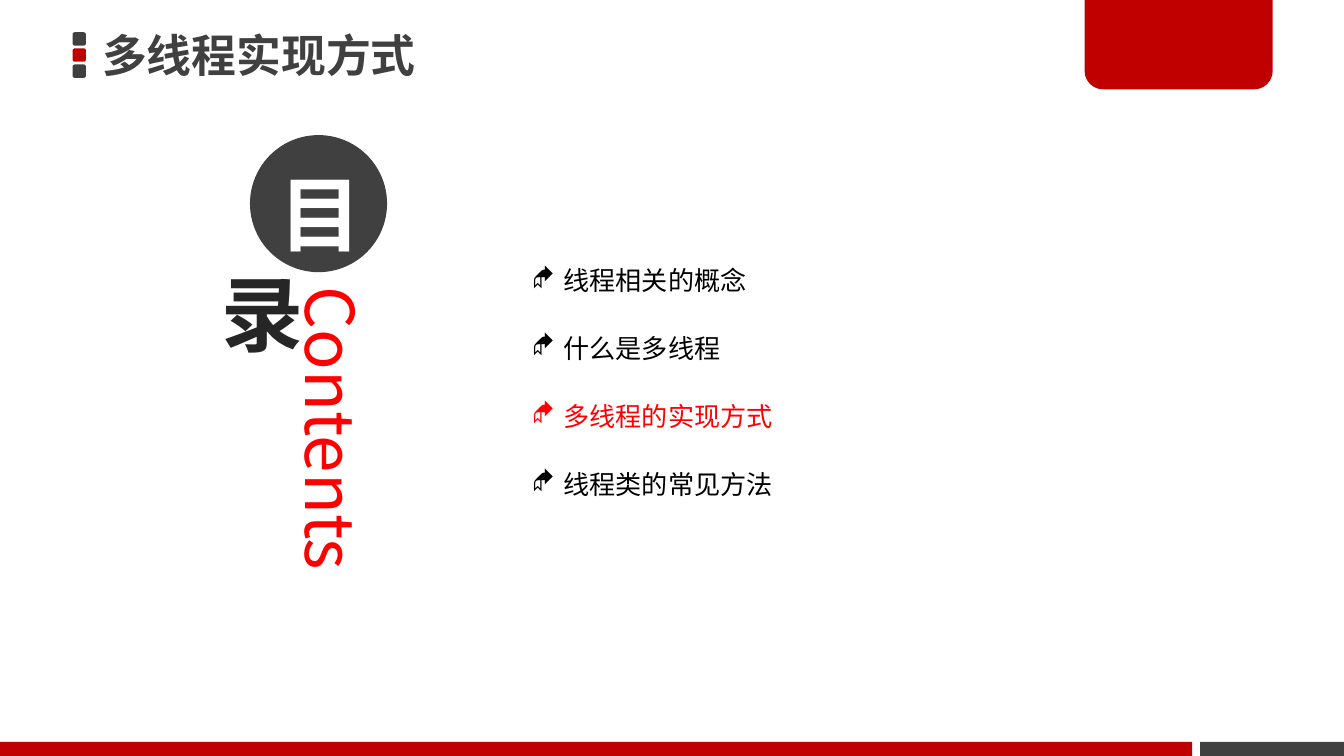
from dataclasses import dataclass

from lxml import etree
from pptx import Presentation
from pptx.dml import color
from pptx.enum import shapes, text
from pptx.oxml import ns
from pptx.util import Inches, Pt

COLUMNS, ROWS = 100, 56.25
CELL = Inches(0.1)
RED, BRIGHT, GREY, INK, WHITE, BLACK = (
    "C00000", "FF0000", "404040", "262626", "FFFFFF", "000000")
SANS, TITLE_FONT, BULLET_FONT = "Noto Sans CJK SC", "Noto Sans CJK JP", "Wingdings"
KIND = shapes.MSO_SHAPE
TIGHT = (0.7, 0.4, 0.7, 0.4)


@dataclass(frozen=True)
class Area:
    column: float
    row: float
    columns: float
    rows: float

    def lengths(self) -> list[int]:
        return [round(n * CELL) for n in (self.column, self.row, self.columns, self.rows)]


@dataclass(frozen=True)
class Topic:
    title: str
    tint: str = BLACK


@dataclass(frozen=True)
class Block:
    area: Area
    tint: str
    kind: KIND = KIND.RECTANGLE
    corners: tuple[float, ...] = ()


def rgb(value: str) -> color.RGBColor:
    return color.RGBColor.from_string(value)


def draw_block(page, block: Block):
    box = page.shapes.add_shape(block.kind, *block.area.lengths())
    box.shadow.inherit = False
    box.fill.solid()
    box.fill.fore_color.rgb = rgb(block.tint)
    box.line.fill.background()
    for index, corner in enumerate(block.corners):
        box.adjustments[index] = corner
    return box


def add_text_box(page, area: Area):
    return page.shapes.add_textbox(*area.lengths())


def set_frame(box, insets=TIGHT, anchor=text.MSO_ANCHOR.TOP):
    frame = box.text_frame
    frame.word_wrap = True
    frame.vertical_anchor = anchor
    frame.margin_left, frame.margin_top, frame.margin_right, frame.margin_bottom = (
        round(n * CELL) for n in insets)
    return frame


def write(para, words: str, *, size: float, tint: str, font: str = SANS,
          bold: bool = False, align=text.PP_ALIGN.LEFT, leading=None):
    para.alignment = align
    if leading:
        para.line_spacing = leading
    span = para.add_run()
    span.text = words
    span.font.size = Pt(size)
    span.font.bold = bold
    span.font.name = font
    span.font.color.rgb = rgb(tint)
    etree.SubElement(span.font._element, ns.qn("a:ea"), typeface=font)


def add_bullet(para, tint: str, indent: int):
    settings = para._p.get_or_add_pPr()
    settings.set("marL", str(indent))
    settings.set("indent", str(-indent))
    bullet_color = etree.SubElement(settings, ns.qn("a:buClr"))
    etree.SubElement(bullet_color, ns.qn("a:srgbClr"), val=tint)
    etree.SubElement(settings, ns.qn("a:buFont"), typeface=BULLET_FONT)
    etree.SubElement(settings, ns.qn("a:buChar"), char="◆")


def draw_theme(page):
    for index, tint in enumerate((GREY, RED, GREY)):
        draw_block(page, Block(Area(5.4, 2.4 + 1.2 * index, 1, 1), tint,
                               KIND.ROUNDED_RECTANGLE, (0.17,)))
    for block in (
        Block(Area(89.3, ROWS - 1.05, COLUMNS - 89.3, 1.05), GREY),
        Block(Area(0, ROWS - 1.05, 88.7, 1.05), RED),
        Block(Area(80.7, -0.2, 14, 6.85), RED, KIND.ROUND_2_SAME_RECTANGLE, (0, 0.2)),
    ):
        draw_block(page, block)


def draw_heading(page):
    frame = set_frame(add_text_box(page, Area(6.9, 1.95, 71.9, 4.2)),
                      anchor=text.MSO_ANCHOR.MIDDLE)
    write(frame.paragraphs[0], "多线程实现方式", size=24, tint=GREY,
          font=TITLE_FONT, bold=True)


def draw_contents_sign(page):
    frame = set_frame(add_text_box(page, Area(21.4, 20.95, 7, 28.9)))
    frame._txBody.bodyPr.set("vert", "eaVert")
    write(frame.paragraphs[0], "Contents", size=36, tint=BRIGHT)

    disc = draw_block(page, Block(Area(18.6, 10.05, 10.2, 10.2), GREY, KIND.OVAL))
    frame = set_frame(disc, (0.7, 0.4, 0.7, 1.5), text.MSO_ANCHOR.MIDDLE)
    write(frame.paragraphs[0], "目", size=44, tint=WHITE, bold=True,
          align=text.PP_ALIGN.CENTER, leading=Pt(70))

    ring = draw_block(page, Block(Area(14.6, 19.25, 8, 8), WHITE, KIND.OVAL))
    ring.fill.background()
    frame = set_frame(ring, anchor=text.MSO_ANCHOR.MIDDLE)
    write(frame.paragraphs[0], "录", size=44, tint=INK, bold=True,
          align=text.PP_ALIGN.CENTER)


def draw_topics(page, topics: list[Topic]):
    frame = set_frame(add_text_box(page, Area(38.6, 16.45, 47.2, 21.3)),
                      (1, 0.5, 1, 0.5))
    for index, topic in enumerate(topics):
        para = frame.add_paragraph() if index else frame.paragraphs[0]
        write(para, f" {topic.title}", size=14, tint=topic.tint, leading=Pt(36.4))
        add_bullet(para, topic.tint, Inches(0.19))


def main():
    deck = Presentation()
    deck.slide_width, deck.slide_height = COLUMNS * CELL, round(ROWS * CELL)
    page = deck.slides.add_slide(deck.slide_layouts[6])
    draw_theme(page)
    draw_contents_sign(page)
    draw_topics(page, [
        Topic("线程相关的概念"),
        Topic("什么是多线程"),
        Topic("多线程的实现方式", BRIGHT),
        Topic("线程类的常见方法"),
    ])
    draw_heading(page)
    deck.save("out.pptx")


if __name__ == "__main__":
    main()
